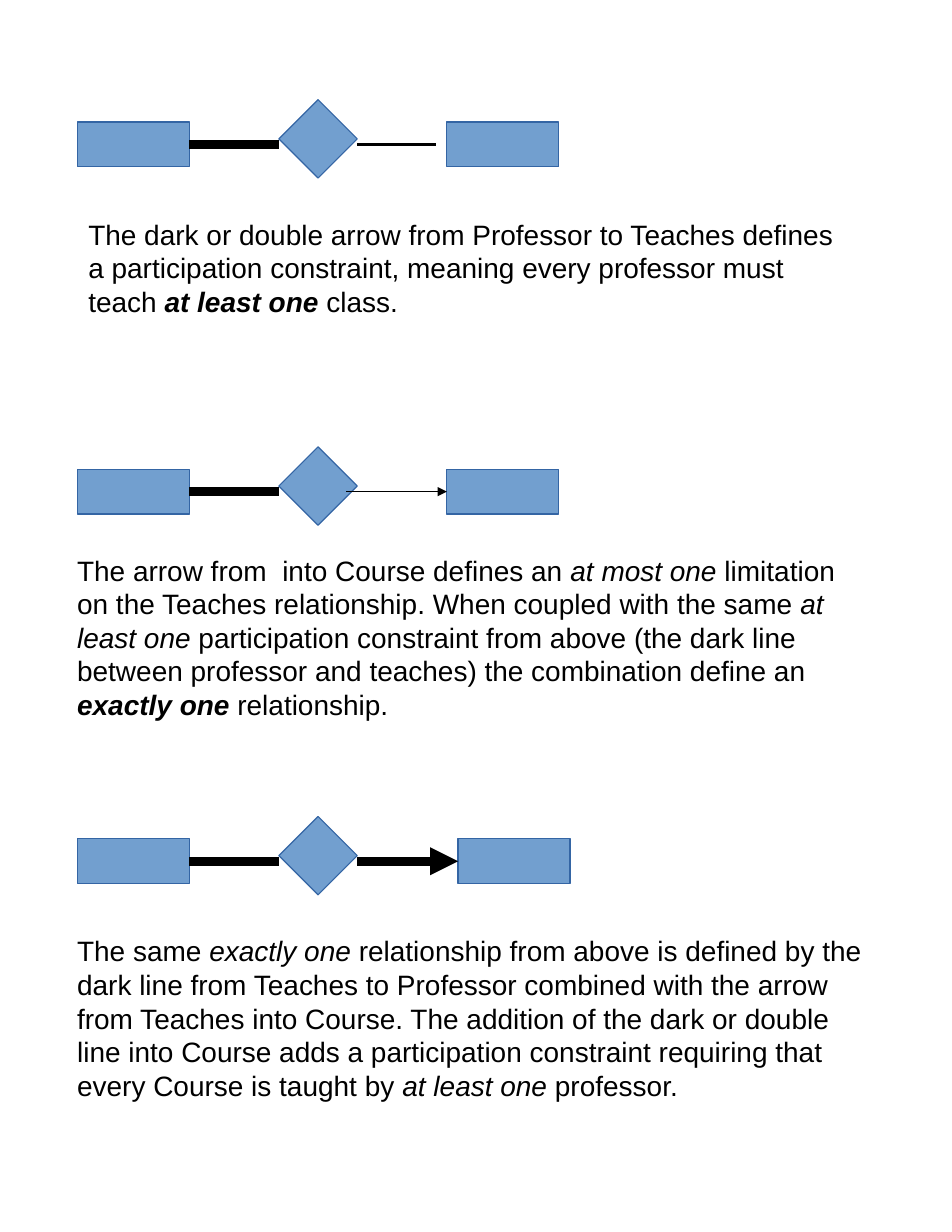
from lxml.etree import SubElement
from pptx import Presentation
from pptx.dml.color import RGBColor
from pptx.enum.shapes import MSO_CONNECTOR, MSO_SHAPE
from pptx.enum.text import MSO_AUTO_SIZE
from pptx.oxml.ns import qn
from pptx.util import Inches, Pt

BLUE = RGBColor(0x72, 0x9F, 0xCF)
DARK_BLUE = RGBColor(0x34, 0x65, 0xA4)
BLACK = RGBColor(0, 0, 0)

LEFT = 0.69
ENTITY_WIDTH, ENTITY_HEIGHT = 1, 0.4
DIAMOND_LEFT, DIAMOND_SIZE = 2.49, 0.7
THICK, THIN, HAIRLINE = 6, 0.79, 0

PLAIN, ITALIC, BOLD_ITALIC = (False, False), (False, True), (True, True)

DIAGRAMS = [
    {"top": 0.89, "course_left": 3.99, "start": 3.19, "end": 3.89,
     "weight": HAIRLINE, "arrow": False},
    {"top": 3.99, "course_left": 3.99, "start": 3.09, "end": 3.99,
     "weight": THIN, "arrow": True},
    {"top": 7.29, "course_left": 4.09, "start": 3.19, "end": 4.09,
     "weight": THICK, "arrow": True},
]

EXPLANATIONS = [
    ((0.69, 1.89, 6.9, 0.94), [
        ("The dark or double arrow from Professor to Teaches defines a "
         "participation constraint, meaning every professor must teach ", PLAIN),
        ("at least one", BOLD_ITALIC),
        (" class.", PLAIN),
    ]),
    ((0.59, 4.89, 7.3, 1.5), [
        ("The arrow from  into Course defines an ", PLAIN),
        ("at most one", ITALIC),
        (" limitation on the Teaches relationship. When coupled with the same ", PLAIN),
        ("at least one", ITALIC),
        (" participation constraint from above (the dark line between professor "
         "and teaches) the combination define an ", PLAIN),
        ("exactly one", BOLD_ITALIC),
        (" relationship.", PLAIN),
    ]),
    ((0.59, 8.29, 7.3, 1.5), [
        ("The same ", PLAIN),
        ("exactly one ", ITALIC),
        ("relationship from above is defined by the dark line from Teaches to "
         "Professor combined with the arrow from Teaches into Course. The addition "
         "of the dark or double line into Course adds a participation constraint "
         "requiring that every Course is taught by ", PLAIN),
        ("at least one ", ITALIC),
        ("professor.", PLAIN),
    ]),
]


def add_node(page, kind, left, top, width, height):
    node = page.shapes.add_shape(
        kind, Inches(left), Inches(top), Inches(width), Inches(height))
    node.shadow.inherit = False
    node.fill.solid()
    node.fill.fore_color.rgb = BLUE
    node.line.color.rgb = DARK_BLUE
    node.line.width = Pt(0)
    return node


def add_link(page, start, end, middle, weight, arrow=False):
    link = page.shapes.add_connector(
        MSO_CONNECTOR.STRAIGHT,
        Inches(start), Inches(middle), Inches(end), Inches(middle))
    link.line.color.rgb = BLACK
    link.line.width = Pt(weight)
    properties = link._element.spPr
    if arrow:
        SubElement(properties.find(qn("a:ln")), qn("a:tailEnd"), type="triangle")
    SubElement(properties, qn("a:effectLst"))
    return link


def add_diagram(page, top, course_left, start, end, weight, arrow):
    entity_top = top + 0.2
    middle = entity_top + ENTITY_HEIGHT / 2
    professor, course = [
        add_node(page, MSO_SHAPE.RECTANGLE, left, entity_top,
                 ENTITY_WIDTH, ENTITY_HEIGHT)
        for left in (LEFT, course_left)]
    add_node(page, MSO_SHAPE.DIAMOND, DIAMOND_LEFT, top, DIAMOND_SIZE, DIAMOND_SIZE)
    participation = add_link(page, LEFT + ENTITY_WIDTH, DIAMOND_LEFT, middle, THICK)
    participation.begin_connect(professor, 3)
    limitation = add_link(page, start, end, middle, weight, arrow)
    if end == course_left:
        limitation.end_connect(course, 1)


def add_explanation(page, bounds, spans):
    box = page.shapes.add_textbox(*[Inches(length) for length in bounds])
    frame = box.text_frame
    frame.word_wrap = True
    frame.auto_size = MSO_AUTO_SIZE.SHAPE_TO_FIT_TEXT
    para = frame.paragraphs[0]
    for text, (bold, italic) in spans:
        span = para.add_run()
        span.text = text
        span.font.name = "Arial"
        span.font.size = Pt(18)
        span.font.color.rgb = BLACK
        span.font.bold = bold
        span.font.italic = italic


def main():
    deck = Presentation()
    deck.slide_width = Inches(8.5)
    deck.slide_height = Inches(11)
    page = deck.slides.add_slide(deck.slide_layouts[6])
    for diagram in DIAGRAMS:
        add_diagram(page, **diagram)
    for bounds, spans in EXPLANATIONS:
        add_explanation(page, bounds, spans)
    deck.save("out.pptx")


if __name__ == "__main__":
    main()
